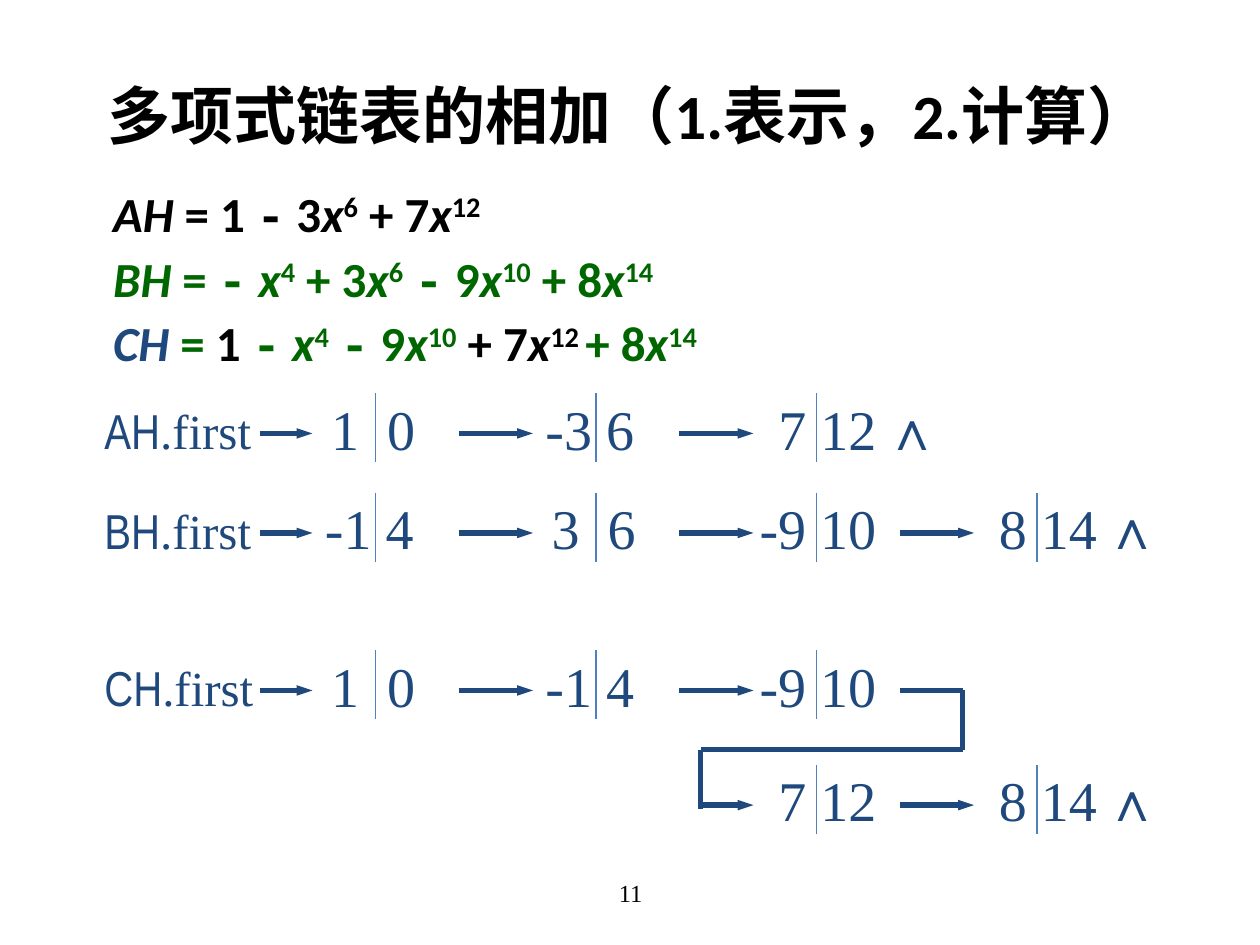
from itertools import pairwise

from lxml import etree
from pptx import Presentation
from pptx import util as u
from pptx.dml.color import RGBColor
from pptx.enum import shapes, text
from pptx.oxml import ns

BLACK = RGBColor(0x00, 0x00, 0x00)
GREEN = RGBColor(0x00, 0x66, 0x00)
NAVY = RGBColor(0x1F, 0x49, 0x7D)
BLUE = RGBColor(0x4F, 0x81, 0xBD)

TITLE = "多项式链表的相加（1.表示，2.计算）"
PAGE = "11"
PLAIN, ITALIC, POWER, MINUS = range(4)


def x_to(power):
    return [("x", ITALIC), (power, POWER)]


POLYNOMIALS = [
    [(BLACK, [("AH", ITALIC), (" = 1 ", PLAIN), ("-", MINUS), (" 3", PLAIN), *x_to("6"),
              (" + 7", PLAIN), *x_to("12")])],
    [(GREEN, [("BH", ITALIC), (" = ", PLAIN), ("-", MINUS), (" ", PLAIN), *x_to("4"),
              (" + 3", PLAIN), *x_to("6"), (" ", PLAIN), ("-", MINUS), (" 9", PLAIN),
              *x_to("10"), (" + 8", PLAIN), *x_to("14")])],
    [(NAVY, [("CH ", ITALIC)]),
     (GREEN, [("= ", PLAIN)]),
     (BLACK, [("1 ", PLAIN)]),
     (GREEN, [("-", MINUS), (" ", PLAIN), *x_to("4"), (" ", PLAIN), ("-", MINUS),
              (" 9", PLAIN), *x_to("10"), (" ", PLAIN)]),
     (BLACK, [("+ 7", PLAIN), *x_to("12 ")]),
     (GREEN, [("+ 8", PLAIN), *x_to("14")])],
]

# name, top, first column, (coefficient, exponent) nodes, ends the list
CHAINS = [
    ("AH", 3.12, 0, [(1, 0), (-3, 6), (7, 12)], True),
    ("BH", 3.91, 0, [(-1, 4), (3, 6), (-9, 10), (8, 14)], True),
    ("CH", 5.16, 0, [(1, 0), (-1, 4), (-9, 10)], False),
    (None, 6.07, 2, [(7, 12), (8, 14)], True),
]
BEND = [(7.14, 5.48), (7.64, 5.48), (7.64, 5.95), (5.56, 5.95), (5.56, 6.42)]

FIRST_DIVIDER, COLUMN_STEP, DIVIDER_HEIGHT, ARROW_DROP = 2.98, 1.75, 0.55, 0.32
# (negative coefficient, two-digit exponent): offset from divider, width
NODE_BOX = {
    (False, False): (-0.45, 0.9),
    (True, False): (-0.5, 0.95),
    (False, True): (-0.4, 1),
    (True, True): (-0.55, 1.15),
}


def add_line(slide, start, end, color, width, arrow=False):
    line = slide.shapes.add_connector(
        shapes.MSO_CONNECTOR.STRAIGHT, *map(u.Inches, (*start, *end)))
    line.line.color.rgb = color
    line.line.width = u.Pt(width)
    if arrow:
        etree.SubElement(line.line._get_or_add_ln(), ns.qn("a:tailEnd"),
                         type="triangle", w="sm", len="med")
    etree.SubElement(line._element.spPr, ns.qn("a:effectLst"))


def add_label(slide, left, top, width, height, parts, size, color=NAVY, font="Times New Roman"):
    frame = slide.shapes.add_textbox(*map(u.Inches, (left, top, width, height))).text_frame
    frame.word_wrap = False
    frame.auto_size = text.MSO_AUTO_SIZE.NONE
    label = frame.paragraphs[0]
    for part in parts:
        label.add_run().text = part
    label.font.size = u.Pt(size)
    label.font.name = font
    label.font.color.rgb = color
    return label


def add_polynomials(slide):
    frame = slide.shapes.add_textbox(*map(u.Inches, (0.8, 1.36, 9, 4.25))).text_frame
    frame.word_wrap = True
    for index, polynomial in enumerate(POLYNOMIALS):
        row = frame.add_paragraph() if index else frame.paragraphs[0]
        row.line_spacing = 1.1
        row.font.size = u.Pt(28)
        row.font.name = "Calibri"
        row.font.bold = True
        for color, pieces in polynomial:
            for wording, style in pieces:
                run = row.add_run()
                run.text = wording
                run.font.color.rgb = color
                if style == ITALIC:
                    run.font.italic = True
                elif style == MINUS:
                    run.font.name = "Courier New"
                elif style == POWER:
                    run.font._element.set("baseline", "30000")


def add_chain(slide, name, top, first_column, nodes, ends):
    arrow_y = top + ARROW_DROP
    dividers = [FIRST_DIVIDER + COLUMN_STEP * (first_column + n) for n in range(len(nodes))]
    if name:
        label = add_label(slide, 0.73, top + 0.01, 1.39, 0.57, [name, ".first"], 28)
        label.runs[0].font.name = "Arial Narrow"
    add_line(slide, (dividers[0] - 0.92, arrow_y), (dividers[0] - 0.5, arrow_y), NAVY, 3, True)
    for divider in dividers[:-1]:
        add_line(slide, (divider + 0.66, arrow_y), (divider + 1.25, arrow_y), NAVY, 3, True)
    for divider, (coefficient, exponent) in zip(dividers, nodes):
        add_line(slide, (divider, top), (divider, top + DIVIDER_HEIGHT), BLUE, 0.75)
        shape_key = (coefficient < 0, exponent > 9)
        offset, width = NODE_BOX[shape_key]
        node = add_label(slide, divider + offset, top - 0.04, width, 0.63,
                         [str(coefficient), " ", str(exponent)], 32)
        if not any(shape_key):
            node.runs[1].font._element.set("spc", "800")
    if ends:
        add_label(slide, dividers[-1] + 0.44, top - 0.04, 0.47, 0.63, ["∧"], 32)


def main():
    deck = Presentation()
    deck.slide_width, deck.slide_height = u.Inches(10), u.Inches(7.5)
    slide = deck.slides.add_slide(deck.slide_layouts[5])

    title = slide.shapes.title
    title.left, title.top, title.width, title.height = map(u.Inches, (0.49, 0.48, 9, 0.86))
    title.text_frame.text = TITLE
    title.text_frame.vertical_anchor = text.MSO_ANCHOR.MIDDLE
    heading = title.text_frame.paragraphs[0]
    heading.alignment = text.PP_ALIGN.CENTER
    heading.font.size = u.Pt(36)
    heading.font.name = "Calibri"
    heading.font.bold = True
    heading.font.color.rgb = BLACK

    add_polynomials(slide)
    for chain in CHAINS:
        add_chain(slide, *chain)
    for start, end in pairwise(BEND):
        add_line(slide, start, end, NAVY, 3)

    page = add_label(slide, 3.42, 6.92, 3.17, 0.3, [PAGE], 14, BLACK)
    page.alignment = text.PP_ALIGN.CENTER
    deck.save("out.pptx")


if __name__ == "__main__":
    main()
